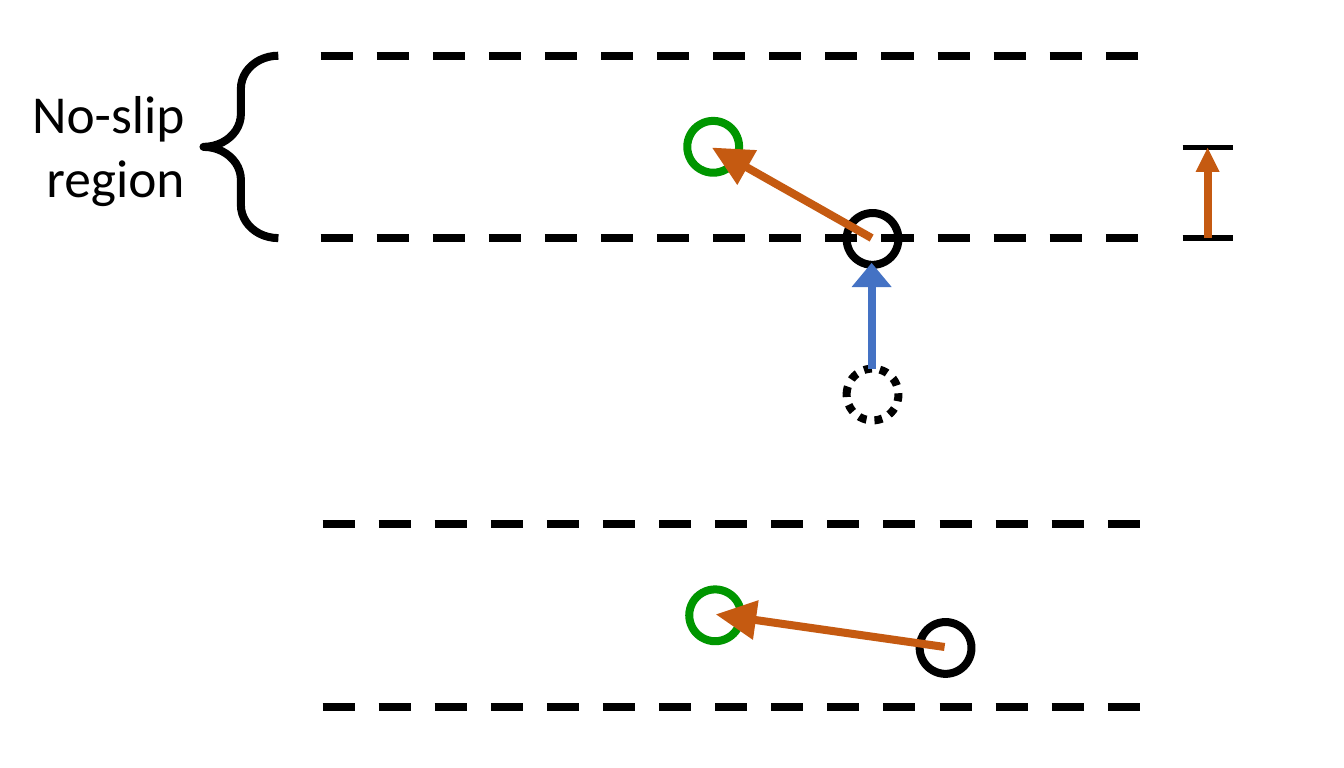
"""Build a slide showing moves of a point into the no-slip region."""
from pptx import Presentation
from pptx.dml.color import RGBColor
from pptx.enum.dml import MSO_LINE_DASH_STYLE as Dash
from pptx.enum.shapes import MSO_CONNECTOR as Connector, MSO_SHAPE as Shape
from pptx.enum.text import MSO_AUTO_SIZE as AutoSize, PP_ALIGN as Align
from pptx.oxml.ns import qn
from pptx.util import Inches, Pt
from lxml import etree

COLORS = {"black": "000000", "green": "009600", "orange": "C55A11", "blue": "4472C4"}
DIAMETER = 0.27

presentation = Presentation()
presentation.slide_width = Inches(7)
presentation.slide_height = Inches(4)
slide = presentation.slides.add_slide(presentation.slide_layouts[6])


def add_line(start, end, color="black", width=3, dash=None, arrow=None):
    line = slide.shapes.add_connector(Connector.STRAIGHT, *map(Inches, start + end))
    line.line.color.rgb = RGBColor.from_string(COLORS[color])
    line.line.width = Pt(width)
    if dash:
        line.line.dash_style = dash
    if arrow:
        head_width, head_length = arrow
        etree.SubElement(line.line._get_or_add_ln(), qn("a:tailEnd"),
                         type="triangle", w=head_width, len=head_length)
    etree.SubElement(line._element.spPr, qn("a:effectLst"))


def add_text(text, left, top, width, height, size=20, font="Calibri", color="black",
             align=Align.RIGHT):
    box = slide.shapes.add_textbox(*map(Inches, (left, top, width, height)))
    frame = box.text_frame
    frame.word_wrap = True
    frame.auto_size = AutoSize.SHAPE_TO_FIT_TEXT
    paragraph = frame.paragraphs[0]
    paragraph.text = text
    paragraph.alignment = align
    paragraph.font.size = Pt(size)
    paragraph.font.name = font
    paragraph.font.color.rgb = RGBColor.from_string(COLORS[color])


for left, top in [(1.68, 2.73), (1.67, 0.29)]:
    for y in (top, top + 0.95):
        add_line((left, y), (left + 4.27, y), dash=Dash.DASH)

outlines = [
    (Shape.OVAL, 3.59, 3.07, DIAMETER, DIAMETER, "green", None),
    (Shape.OVAL, 3.58, 0.63, DIAMETER, DIAMETER, "green", None),
    (Shape.OVAL, 4.41, 1.92, DIAMETER, DIAMETER, "black", Dash.ROUND_DOT),
    (Shape.OVAL, 4.79, 3.24, DIAMETER, DIAMETER, "black", None),
    (Shape.OVAL, 4.41, 1.11, DIAMETER, DIAMETER, "black", None),
    (Shape.LEFT_BRACE, 1.06, 0.29, 0.39, 0.95, "black", None),
]
for kind, left, top, width, height, color, dash in outlines:
    shape = slide.shapes.add_shape(kind, *map(Inches, (left, top, width, height)))
    shape.shadow.inherit = False
    shape.fill.background()
    shape.line.color.rgb = RGBColor.from_string(COLORS[color])
    shape.line.width = Pt(3)
    if dash:
        shape.line.dash_style = dash
    if kind == Shape.LEFT_BRACE:
        shape.adjustments[0] = 0.44

add_line((4.54, 1.24), (3.71, 0.77), "orange", arrow=("lg", "lg"))
add_line((4.92, 3.37), (3.73, 3.2), "orange", arrow=("lg", "lg"))
add_line((4.54, 1.92), (4.54, 1.37), "blue", arrow=("lg", "med"))

for y in (1.24, 0.77):
    add_line((6.16, y), (6.42, y), width=2)
add_line((6.29, 1.24), (6.29, 0.77), "orange", arrow=("med", "med"))

add_text("No-slip region", -0.09, 0.37, 1.15, 0.77)

presentation.save("out.pptx")
